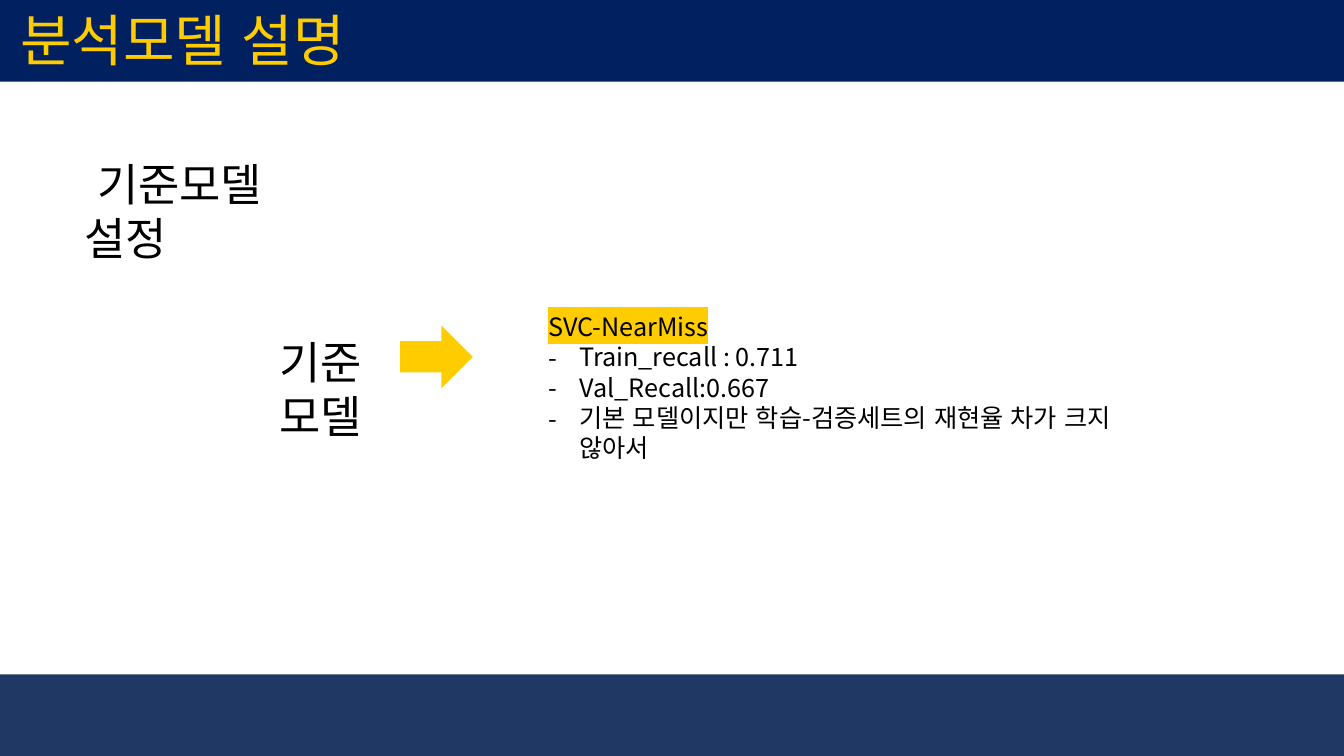
from lxml.etree import SubElement
from pptx import Presentation
from pptx.dml.color import RGBColor
from pptx.enum.lang import MSO_LANGUAGE_ID
from pptx.enum.shapes import MSO_SHAPE
from pptx.enum.text import MSO_ANCHOR, MSO_AUTO_SIZE, PP_ALIGN
from pptx.oxml.ns import qn
from pptx.util import Inches

from pptx.util import Pt

WIDE, HIGH = Inches(13.33), Inches(7.5)
FACE = "Noto Sans CJK KR"
NAVY, SLATE, GOLD, BLACK = "002060", "203864", "FFCC00", "000000"
INDENT = Inches(0.31)


def area(left, top, width, height):
    """Turn percentages of the slide into lengths."""
    return (int(WIDE * left / 100), int(HIGH * top / 100),
            int(WIDE * width / 100), int(HIGH * height / 100))


def paint(color, tone):
    """Set a colour format from a hex string."""
    color.rgb = RGBColor.from_string(tone)


def block(shapes, kind, place, tone):
    """Add a plain filled shape."""
    shape = shapes.add_shape(kind, *area(*place))
    shape.shadow.inherit = False
    shape.fill.solid()
    paint(shape.fill.fore_color, tone)
    shape.line.fill.background()


def mark(font, tone):
    """Put a highlight on the text of a font."""
    props = font._element if hasattr(font, "_element") else font._rPr
    light = SubElement(props, qn("a:highlight"))
    SubElement(light, qn("a:srgbClr"), val=tone)
    props.find(qn("a:latin")).addprevious(light)


def dash(para):
    """Give a paragraph a hanging dash bullet."""
    props = para._p.get_or_add_pPr()
    props.set("marL", str(INDENT))
    props.set("indent", str(-INDENT))
    SubElement(props, qn("a:buFont"), typeface=FACE)
    SubElement(props, qn("a:buChar"), char="-")


def write(para, text, size=32, tone=BLACK, align=PP_ALIGN.LEFT, light=None, bullet=False):
    """Write one formatted run into a paragraph."""
    para.alignment = align
    run = para.add_run()
    run.text = text
    font = run.font
    font.size = Pt(size)
    font.name = FACE
    font.language_id = MSO_LANGUAGE_ID.KOREAN
    paint(font.color, tone)
    props = run._r.get_or_add_rPr()
    east = SubElement(props, qn("a:ea"), typeface=FACE)
    props.find(qn("a:latin")).addnext(east)
    if light:
        mark(font, light)
    if bullet:
        dash(para)


def setup(frame):
    """Make a text frame wrap, start at the top and grow."""
    frame.word_wrap = True
    frame.vertical_anchor = MSO_ANCHOR.TOP
    frame.auto_size = MSO_AUTO_SIZE.SHAPE_TO_FIT_TEXT
    return frame


def label(shapes, place, text, **style):
    """Add a text box and return its frame."""
    frame = setup(shapes.add_textbox(*area(*place)).text_frame)
    write(frame.paragraphs[0], text, **style)
    return frame


def head(slide, place, text, **style):
    """Place the title in front of the bands and fill it."""
    title = slide.shapes.title
    title.left, title.top, title.width, title.height = area(*place)
    write(setup(title.text_frame).paragraphs[0], text, **style)
    slide.shapes.element.append(title.element)


def main():
    """Build the slide and save it."""
    deck = Presentation()
    deck.slide_width, deck.slide_height = WIDE, HIGH
    slide = deck.slides.add_slide(deck.slide_layouts[5])
    for top, tone in ((0, NAVY), (89.2, SLATE)):
        block(slide.shapes, MSO_SHAPE.RECTANGLE, (0, top, 100, 10.8), tone)
    head(slide, (0.75, 0, 43.2, 10.27), "분석모델 설명", size=40, tone=GOLD)
    label(slide.shapes, (5.55, 20.13, 20.85, 8.53), " 기준모델 설정")

    model = slide.shapes.add_group_shape().shapes
    block(model, MSO_SHAPE.RIGHT_ARROW, (29.78, 43.07, 5.4, 8.27), GOLD)
    label(model, (17.55, 43.6, 12.6, 7.47), "기준 모델", align=PP_ALIGN.CENTER)
    notes = label(model, (40.06, 40.53, 46.96, 17.47), "SVC-NearMiss", size=18, light=GOLD)
    for text in ("Train_recall : 0.711", "Val_Recall:0.667",
                 "기본 모델이지만 학습-검증세트의 재현율 차가 크지 않아서"):
        write(notes.add_paragraph(), text, size=18, bullet=True)
    deck.save("out.pptx")


if __name__ == "__main__":
    main()
